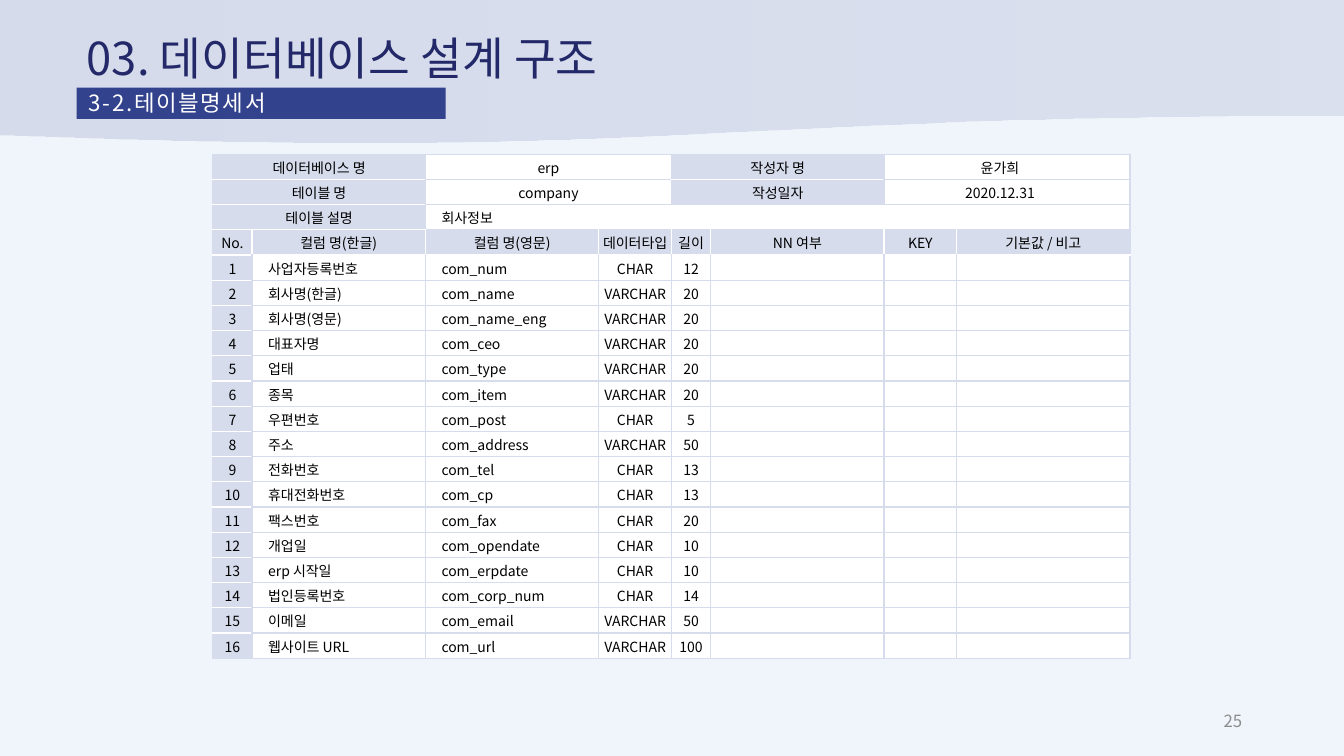
from dataclasses import dataclass
from typing import NamedTuple

from lxml import etree
from pptx import Presentation
from pptx.dml.color import RGBColor
from pptx.enum.shapes import MSO_SHAPE
from pptx.enum.text import MSO_ANCHOR, PP_ALIGN
from pptx.oxml.ns import qn
from pptx.util import Inches, Pt

LEFT, MID, RIGHT, JUST = PP_ALIGN.LEFT, PP_ALIGN.CENTER, PP_ALIGN.RIGHT, PP_ALIGN.JUSTIFY
TOP, CENTER = MSO_ANCHOR.TOP, MSO_ANCHOR.MIDDLE
RECT, WAVE = MSO_SHAPE.RECTANGLE, MSO_SHAPE.FLOWCHART_DOCUMENT


@dataclass(frozen=True)
class Theme:
    face: str = "Noto Sans CJK KR"
    back: str = "EFF5FA"
    tint: str = "D6DCEC"
    white: str = "FFFFFF"
    black: str = "000000"
    navy: str = "232868"
    blue: str = "33428C"
    gray: str = "8C8C8C"
    title: float = 32.4
    sub: float = 16
    page: float = 12
    cell: float = 10


class Field(NamedTuple):
    label: str
    name: str
    kind: str
    size: int


class Item(NamedTuple):
    row: int
    col: int
    span: int
    text: str
    align: PP_ALIGN = MID
    left: float = 0.01
    right: float = 0.01


THEME = Theme()
WIDTHS = [0.39, 1.72, 1.72, 0.72, 0.39, 1.72, 0.72, 1.72]
HIGH = 0.25
INDENT = 0.16
HEAD = 3
HEADS = ["No.", "컬럼 명(한글)", "컬럼 명(영문)", "데이터타입", "길이",
         "NN 여부", "KEY", "기본값 / 비고"]
INFO = [
    Item(0, 0, 2, "데이터베이스 명"),
    Item(0, 2, 2, "erp"),
    Item(0, 4, 2, "작성자 명"),
    Item(0, 6, 2, "윤가희", right=0.15),
    Item(1, 0, 2, "테이블 명"),
    Item(1, 2, 2, "company"),
    Item(1, 4, 2, "작성일자"),
    Item(1, 6, 2, "2020.12.31", right=0.15),
    Item(2, 0, 2, "테이블 설명"),
    Item(2, 2, 6, "회사정보", LEFT, INDENT),
]
FIELDS = [
    Field("사업자등록번호", "com_num", "CHAR", 12),
    Field("회사명(한글)", "com_name", "VARCHAR", 20),
    Field("회사명(영문)", "com_name_eng", "VARCHAR", 20),
    Field("대표자명", "com_ceo", "VARCHAR", 20),
    Field("업태", "com_type", "VARCHAR", 20),
    Field("종목", "com_item", "VARCHAR", 20),
    Field("우편번호", "com_post", "CHAR", 5),
    Field("주소", "com_address", "VARCHAR", 50),
    Field("전화번호", "com_tel", "CHAR", 13),
    Field("휴대전화번호", "com_cp", "CHAR", 13),
    Field("팩스번호", "com_fax", "CHAR", 20),
    Field("개업일", "com_opendate", "CHAR", 10),
    Field("erp 시작일", "com_erpdate", "CHAR", 10),
    Field("법인등록번호", "com_corp_num", "CHAR", 14),
    Field("이메일", "com_email", "VARCHAR", 50),
    Field("웹사이트 URL", "com_url", "VARCHAR", 100),
]
ROWS = HEAD + 1 + len(FIELDS)


def paint(fill, color: str) -> None:
    fill.solid()
    fill.fore_color.rgb = RGBColor.from_string(color)


def write(para, text: str, size: float, color: str, align: PP_ALIGN):
    para.alignment = align
    run = para.add_run()
    run.text = text
    run.font.size = Pt(size)
    run.font.name = THEME.face
    run.font.color.rgb = RGBColor.from_string(color)
    props = run._r.get_or_add_rPr()
    etree.SubElement(props, qn("a:ea"), typeface=THEME.face)
    return props


def place(shape, left: float, top: float, width: float, height: float) -> None:
    shape.left, shape.top = Inches(left), Inches(top)
    shape.width, shape.height = Inches(width), Inches(height)


def add_shape(slide, kind: MSO_SHAPE, *box: float):
    shape = slide.shapes.add_shape(kind, *map(Inches, box))
    shape.shadow.inherit = False
    shape.line.fill.background()
    return shape


def add_band(slide) -> None:
    band = add_shape(slide, WAVE, 0, 0, 13.33, 1.43)
    band.fill.gradient()
    band.fill.gradient_angle = 0
    for stop in band.fill.gradient_stops:
        stop.color.rgb = RGBColor.from_string(THEME.tint)
    last = list(band.element.iter(qn("a:gs")))[-1]
    etree.SubElement(last[0], qn("a:alpha"), val="80000")
    slide.shapes.title.element.addprevious(band.element)


def add_title(slide) -> None:
    title = slide.shapes.title
    place(title, 0.76, 0.28, 8.55, 0.58)
    frame = title.text_frame
    frame.vertical_anchor = CENTER
    frame.word_wrap = True
    write(frame.paragraphs[0], "03. 데이터베이스 설계 구조", THEME.title, THEME.navy, LEFT)


def add_label(slide) -> None:
    label = add_shape(slide, RECT, 0.76, 0.87, 3.66, 0.31)
    paint(label.fill, THEME.blue)
    frame = label.text_frame
    frame.word_wrap = True
    frame.vertical_anchor = TOP
    frame.margin_left = frame.margin_right = Inches(0.12)
    frame.margin_top, frame.margin_bottom = Inches(0.04), Inches(0.05)
    para = frame.paragraphs[0]
    para.line_spacing = 0.9
    write(para, "3-2.테이블명세서", THEME.sub, THEME.white, JUST).set("spc", "120")


def add_page(slide) -> None:
    box = slide.shapes.add_textbox(*map(Inches, (9.42, 6.95, 3, 0.4)))
    frame = box.text_frame
    frame.word_wrap = True
    frame.vertical_anchor = CENTER
    write(frame.paragraphs[0], "25", THEME.page, THEME.gray, RIGHT)


def tinted(row: int, col: int) -> bool:
    if not (0 <= row < ROWS and 0 <= col < len(WIDTHS)):
        return False
    return row == HEAD or col == 0 or row < HEAD and col == 1 or row < 2 and col in (4, 5)


def edge(cell, side: str, color: str) -> None:
    line = etree.SubElement(cell._tc.get_or_add_tcPr(), qn(f"a:ln{side}"), w=str(Pt(1)))
    fill = etree.SubElement(line, qn("a:solidFill"))
    etree.SubElement(fill, qn("a:srgbClr"), val=color)


def fill_cell(table, item: Item) -> None:
    row, col = item.row, item.col
    cell = table.cell(row, col)
    if item.span > 1:
        cell.merge(table.cell(row, col + item.span - 1))
    cell.vertical_anchor = CENTER
    cell.margin_left, cell.margin_right = Inches(item.left), Inches(item.right)
    cell.margin_top, cell.margin_bottom = Inches(0.01), 0
    here = tinted(row, col)
    sides = {
        "L": here and tinted(row, col - 1),
        "R": here and tinted(row, col + item.span),
        "T": here and tinted(row - 1, col) or row == HEAD + 1,
        "B": here and tinted(row + 1, col) or row == HEAD,
    }
    for side, pale in sides.items():
        edge(cell, side, THEME.white if pale else THEME.tint)
    paint(cell.fill, THEME.tint if here else THEME.white)
    para = cell.text_frame.paragraphs[0]
    if item.text:
        write(para, item.text, THEME.cell, THEME.black, item.align)
    else:
        etree.SubElement(para._p, qn("a:endParaRPr"), sz=str(THEME.cell * 100))


def add_grid(slide) -> None:
    box = map(Inches, (2.11, 1.53, sum(WIDTHS), ROWS * HIGH))
    table = slide.shapes.add_table(ROWS, len(WIDTHS), *box).table
    table.first_row = table.horz_banding = False
    for column, width in zip(table.columns, WIDTHS):
        column.width = Inches(width)
    for line in table.rows:
        line.height = Inches(HIGH)
    items = INFO + [Item(HEAD, col, 1, text) for col, text in enumerate(HEADS)]
    for num, field in enumerate(FIELDS, 1):
        texts = [str(num), field.label, field.name, field.kind, str(field.size), "", "", ""]
        for col, text in enumerate(texts):
            style = (LEFT, INDENT) if col in (1, 2) else ()
            items.append(Item(HEAD + num, col, 1, text, *style))
    for item in items:
        fill_cell(table, item)


def main() -> None:
    deck = Presentation()
    deck.slide_width, deck.slide_height = Inches(13.33), Inches(7.5)
    slide = deck.slides.add_slide(deck.slide_layouts[5])
    paint(slide.background.fill, THEME.back)
    add_band(slide)
    add_title(slide)
    add_page(slide)
    add_grid(slide)
    add_label(slide)
    deck.save("out.pptx")


if __name__ == "__main__":
    main()
